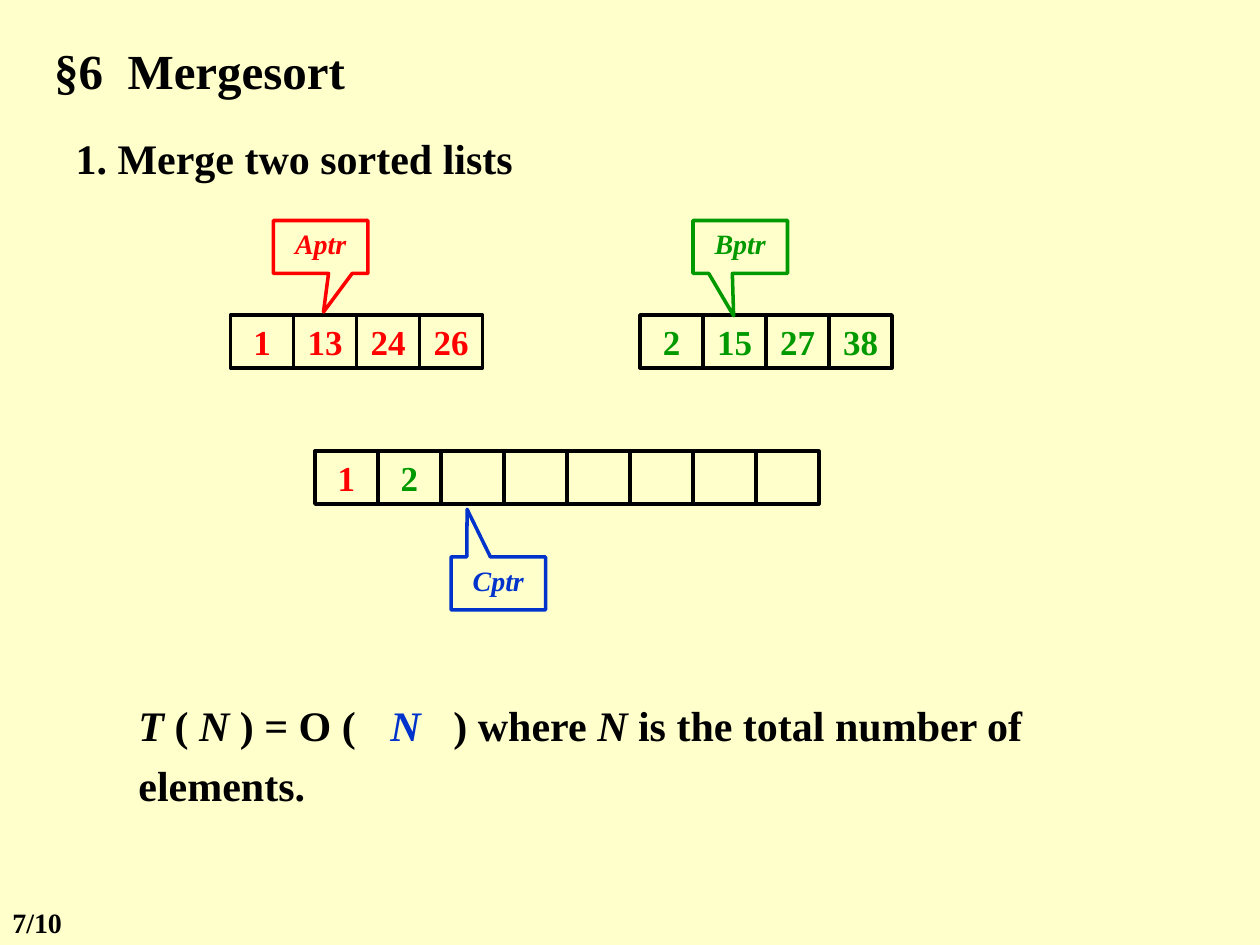
from dataclasses import dataclass

from lxml import etree
from pptx import Presentation
from pptx.dml.color import RGBColor
from pptx.enum.shapes import MSO_SHAPE
from pptx.enum.text import MSO_ANCHOR, MSO_AUTO_SIZE, PP_ALIGN
from pptx.oxml.ns import qn
from pptx.util import Inches, Pt

RECTANGLE = MSO_SHAPE.RECTANGLE
CALLOUT = MSO_SHAPE.RECTANGULAR_CALLOUT
LEFT, CENTER = PP_ALIGN.LEFT, PP_ALIGN.CENTER
TOP, MIDDLE = MSO_ANCHOR.TOP, MSO_ANCHOR.MIDDLE
TITLE_AND_CONTENT = 1


@dataclass(frozen=True)
class Theme:
    font: str = "Times New Roman"
    background: str = "FFFFCC"
    ink: str = "000000"
    list_a: str = "FF0000"
    list_b: str = "009900"
    list_c: str = "0033CC"
    title_size: int = 28
    body_size: int = 24
    cell_size: int = 20
    label_size: int = 16
    line_width: int = 2


THEME = Theme()
CELL_WIDTH, CELL_HEIGHT = 0.5, 0.42
POINTER_WIDTH, POINTER_HEIGHT = 0.75, 0.42


@dataclass(frozen=True)
class Run:
    text: str
    italic: bool = False
    color: str = THEME.ink


@dataclass(frozen=True)
class Array:
    left: float
    top: float
    cells: tuple[tuple[str, str], ...]  # value and colour of each cell


@dataclass(frozen=True)
class Pointer:
    label: str
    left: float
    top: float
    tip: tuple[float, float]  # offset from the centre, in box widths and heights
    color: str


ARRAYS = (
    Array(1.83, 2.5, tuple((n, THEME.list_a) for n in ("1", "13", "24", "26"))),
    Array(5.08, 2.5, tuple((n, THEME.list_b) for n in ("2", "15", "27", "38"))),
    Array(2.5, 3.58, (("1", THEME.list_a), ("2", THEME.list_b))
          + (("", THEME.ink),) * 6),
)
POINTERS = (
    Pointer("Aptr", 2.17, 1.75, (0.03, 1.23), THEME.list_a),
    Pointer("Bptr", 5.5, 1.75, (-0.07, 1.3), THEME.list_b),
    Pointer("Cptr", 3.58, 4.42, (-0.33, -1.4), THEME.list_c),
)
COMPLEXITY = (
    Run("T ", italic=True), Run("( "), Run("N ", italic=True), Run(") = O (\t"),
    Run("N", italic=True, color=THEME.list_c), Run("\t) where "),
    Run("N", italic=True), Run(" is the total number of elements."),
)
COMPLEXITY_TABS = (1.92, 2.45)


def write(shape, *runs: Run, size: int, align=LEFT, anchor=TOP, side_inset=0.1,
          wrap=True, line_spacing=1.0, tabs: tuple[float, ...] = ()) -> None:
    """Fill a shape with one bold paragraph."""
    frame = shape.text_frame
    frame.auto_size = MSO_AUTO_SIZE.NONE
    frame.word_wrap = wrap
    frame.vertical_anchor = anchor
    frame.margin_left = frame.margin_right = Inches(side_inset)
    frame.margin_top = frame.margin_bottom = Inches(0.05)
    paragraph = frame.paragraphs[0]
    paragraph.alignment = align
    paragraph.line_spacing = line_spacing
    paragraph.space_before = Pt(0)
    for part in runs:
        run = paragraph.add_run()
        run.text = part.text
        font = run.font
        font.name, font.size = THEME.font, Pt(size)
        font.bold, font.italic = True, part.italic
        font.color.rgb = RGBColor.from_string(part.color)

    # No bullet or hanging indent, then the tab stops
    properties = paragraph._p.get_or_add_pPr()
    properties.set("marL", "0")
    properties.set("indent", "0")
    etree.SubElement(properties, qn("a:buNone"))
    if tabs:
        stops = etree.SubElement(properties, qn("a:tabLst"))
        for position in tabs:
            etree.SubElement(stops, qn("a:tab"), pos=str(Inches(position)), algn="l")


def place(shape, left: float, top: float, width: float, height: float):
    shape.left, shape.top = Inches(left), Inches(top)
    shape.width, shape.height = Inches(width), Inches(height)
    return shape


def add_outline(slide, preset, left: float, top: float, width: float,
                height: float, color: str):
    shape = slide.shapes.add_shape(
        preset, Inches(left), Inches(top), Inches(width), Inches(height))
    shape.shadow.inherit = False
    shape.fill.background()
    shape.line.color.rgb = RGBColor.from_string(color)
    shape.line.width = Pt(THEME.line_width)
    return shape


def add_textbox(slide, left: float, top: float, width: float, height: float):
    return slide.shapes.add_textbox(
        Inches(left), Inches(top), Inches(width), Inches(height))


def draw_array(slide, array: Array) -> None:
    for index, (value, color) in enumerate(array.cells):
        cell = add_outline(slide, RECTANGLE, array.left + index * CELL_WIDTH,
                           array.top, CELL_WIDTH, CELL_HEIGHT, THEME.ink)
        if value:
            write(cell, Run(value, color=color), size=THEME.cell_size,
                  align=CENTER, anchor=MIDDLE, wrap=False)


def draw_pointer(slide, pointer: Pointer) -> None:
    callout = add_outline(slide, CALLOUT, pointer.left, pointer.top,
                          POINTER_WIDTH, POINTER_HEIGHT, pointer.color)
    callout.adjustments[0], callout.adjustments[1] = pointer.tip
    write(callout, Run(pointer.label, italic=True, color=pointer.color),
          size=THEME.label_size, align=CENTER, side_inset=0.02)


def main() -> None:
    presentation = Presentation()
    presentation.slide_width, presentation.slide_height = Inches(10), Inches(7.5)
    slide = presentation.slides.add_slide(
        presentation.slide_layouts[TITLE_AND_CONTENT])
    slide.background.fill.solid()
    slide.background.fill.fore_color.rgb = RGBColor.from_string(THEME.background)

    # Section title and step heading
    title, heading = slide.placeholders
    write(place(title, 0.33, 0.27, 3.17, 0.57), Run("§6  Mergesort"),
          size=THEME.title_size)
    write(place(heading, 0.5, 1, 3.92, 0.5), Run("1. Merge two sorted lists"),
          size=THEME.body_size)

    # Two input lists, the merged list and their pointers
    for array in ARRAYS:
        draw_array(slide, array)
    for pointer in POINTERS:
        draw_pointer(slide, pointer)

    # Running time
    write(add_textbox(slide, 1, 5.42, 7.75, 0.96), *COMPLEXITY,
          size=THEME.body_size, line_spacing=1.2, tabs=COMPLEXITY_TABS)

    # Page number
    write(add_textbox(slide, 0, 7.14, 0.83, 0.37), Run("7/10"),
          size=THEME.label_size)

    presentation.save("out.pptx")


if __name__ == "__main__":
    main()
